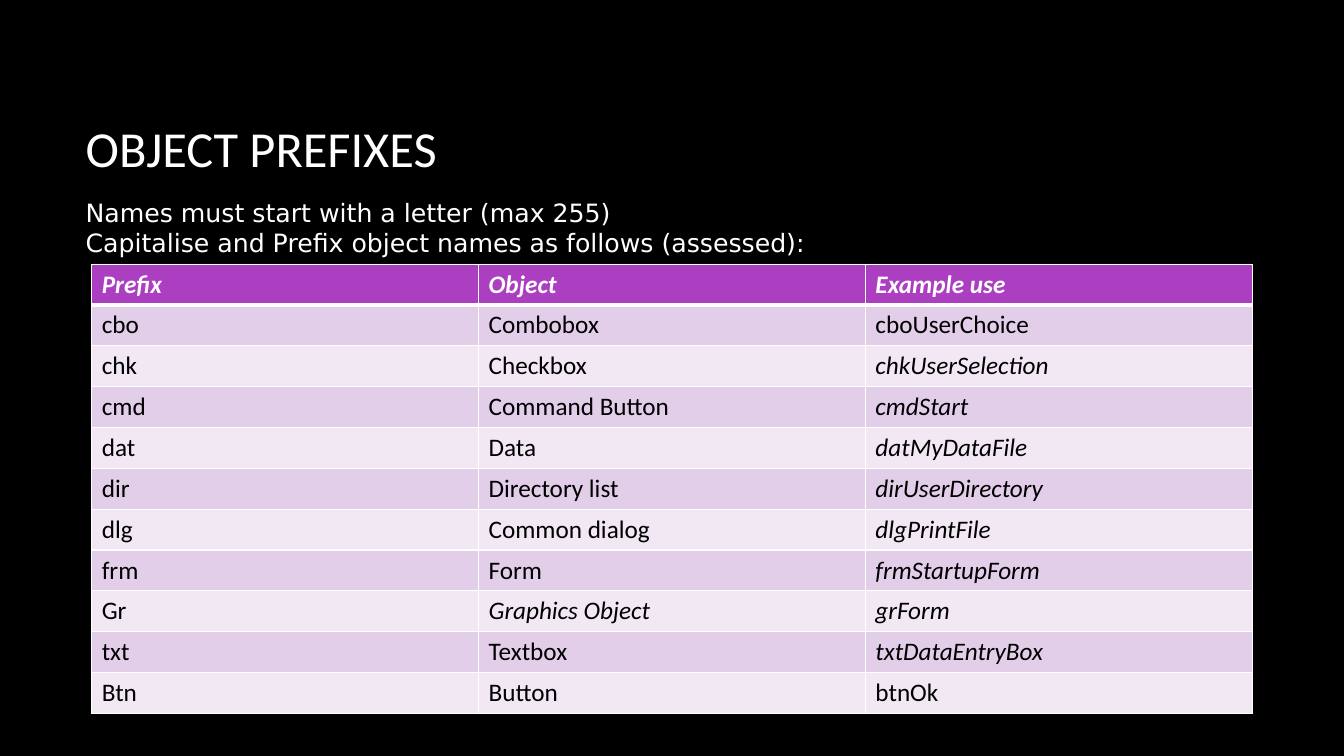
from dataclasses import dataclass

from lxml.etree import SubElement
from pptx import Presentation
from pptx.dml.color import RGBColor as RGB
from pptx.enum.text import MSO_ANCHOR as ANCHOR, PP_ALIGN as ALIGN
from pptx.oxml.ns import qn
from pptx.util import Inches, Pt


@dataclass(frozen=True)
class Theme:
    background: str = "000000"
    light: str = "FFFFFF"
    dark: str = "000000"
    header: str = "AC3EC1"
    bands: tuple = ("E3CEE9", "F1E8F4")
    font: str = "Calibri"
    rules_font: str = "DejaVu Sans"
    title_size: int = 36
    text_size: int = 18
    thin: int = 1
    thick: int = 3


THEME = Theme()

HEADINGS = ("Prefix", "Object", "Example use")
PREFIXES = (
    ("cbo", "Combobox", "cboUserChoice"),
    ("chk", "Checkbox", "chkUserSelection"),
    ("cmd", "Command Button", "cmdStart"),
    ("dat", "Data", "datMyDataFile"),
    ("dir", "Directory list", "dirUserDirectory"),
    ("dlg", "Common dialog", "dlgPrintFile"),
    ("frm", "Form", "frmStartupForm"),
    ("Gr", "Graphics Object", "grForm"),
    ("txt", "Textbox", "txtDataEntryBox"),
    ("Btn", "Button", "btnOk"),
)
ITALICS = set(HEADINGS) | {"Graphics Object"} | {
    example for _, _, example in PREFIXES[1:-1]}


def format_runs(tf, size, color, font, bold=False, italic=False):
    for p in tf.paragraphs:
        p.alignment = ALIGN.LEFT
        for r in p.runs:
            r.font.size = Pt(size)
            r.font.name = font
            r.font.bold = bold
            r.font.italic = italic
            r.font.color.rgb = RGB.from_string(color)


def set_borders(cell, widths):
    """Draw cell borders; widths are points for left, right, top, bottom."""
    tc_pr = cell._tc.get_or_add_tcPr()
    for i, (side, width) in enumerate(zip("LRTB", widths)):
        ln = SubElement(tc_pr, qn(f"a:ln{side}"), w=str(Pt(width)))
        fill = SubElement(ln, qn("a:solidFill"))
        SubElement(fill, qn("a:srgbClr"), val=THEME.light)
        tc_pr.insert(i, ln)


def add_title(s, box):
    title = s.shapes.title
    title.left, title.top, title.width, title.height = map(Inches, box)
    tf = title.text_frame
    tf.text = "OBJECT PREFIXES"
    tf.vertical_anchor = ANCHOR.MIDDLE
    format_runs(tf, THEME.title_size, THEME.light, THEME.font)


def add_naming_rules(s, box):
    tf = s.shapes.add_textbox(*map(Inches, box)).text_frame
    tf.word_wrap = True
    tf.text = ""
    tf.paragraphs[0].text = (
        "Names must start with a letter (max 255)\v"
        "Capitalise and Prefix object names as follows (assessed):")
    format_runs(tf, THEME.text_size, THEME.light, THEME.rules_font)


def add_prefix_table(s, box):
    rows = (HEADINGS, *PREFIXES)
    left, top, width, height = map(Inches, box)
    table = s.shapes.add_table(
        len(rows), len(HEADINGS), left, top, width, height).table
    for row in table.rows:
        row.height = height // len(rows)
    for i, texts in enumerate(rows):
        is_header = i == 0
        fill = THEME.header if is_header else THEME.bands[(i - 1) % 2]
        above = THEME.thick if i == 1 else THEME.thin
        below = THEME.thick if is_header else THEME.thin
        for j, text in enumerate(texts):
            cell = table.cell(i, j)
            cell.text_frame.text = text
            cell.fill.solid()
            cell.fill.fore_color.rgb = RGB.from_string(fill)
            set_borders(cell, (THEME.thin, THEME.thin, above, below))
            format_runs(cell.text_frame, THEME.text_size,
                        THEME.light if is_header else THEME.dark, THEME.font,
                        bold=is_header, italic=text in ITALICS)


def main():
    prs = Presentation()
    prs.slide_width, prs.slide_height = Inches(13.33), Inches(7.5)
    s = prs.slides.add_slide(prs.slide_layouts[5])
    s.background.fill.solid()
    s.background.fill.fore_color.rgb = RGB.from_string(THEME.background)
    add_title(s, (0.75, 0.67, 11.08, 1.59))
    add_naming_rules(s, (0.75, 1.91, 11.9, 0.71))
    add_prefix_table(s, (0.91, 2.62, 11.51, 4.46))
    prs.save("out.pptx")


if __name__ == "__main__":
    main()
